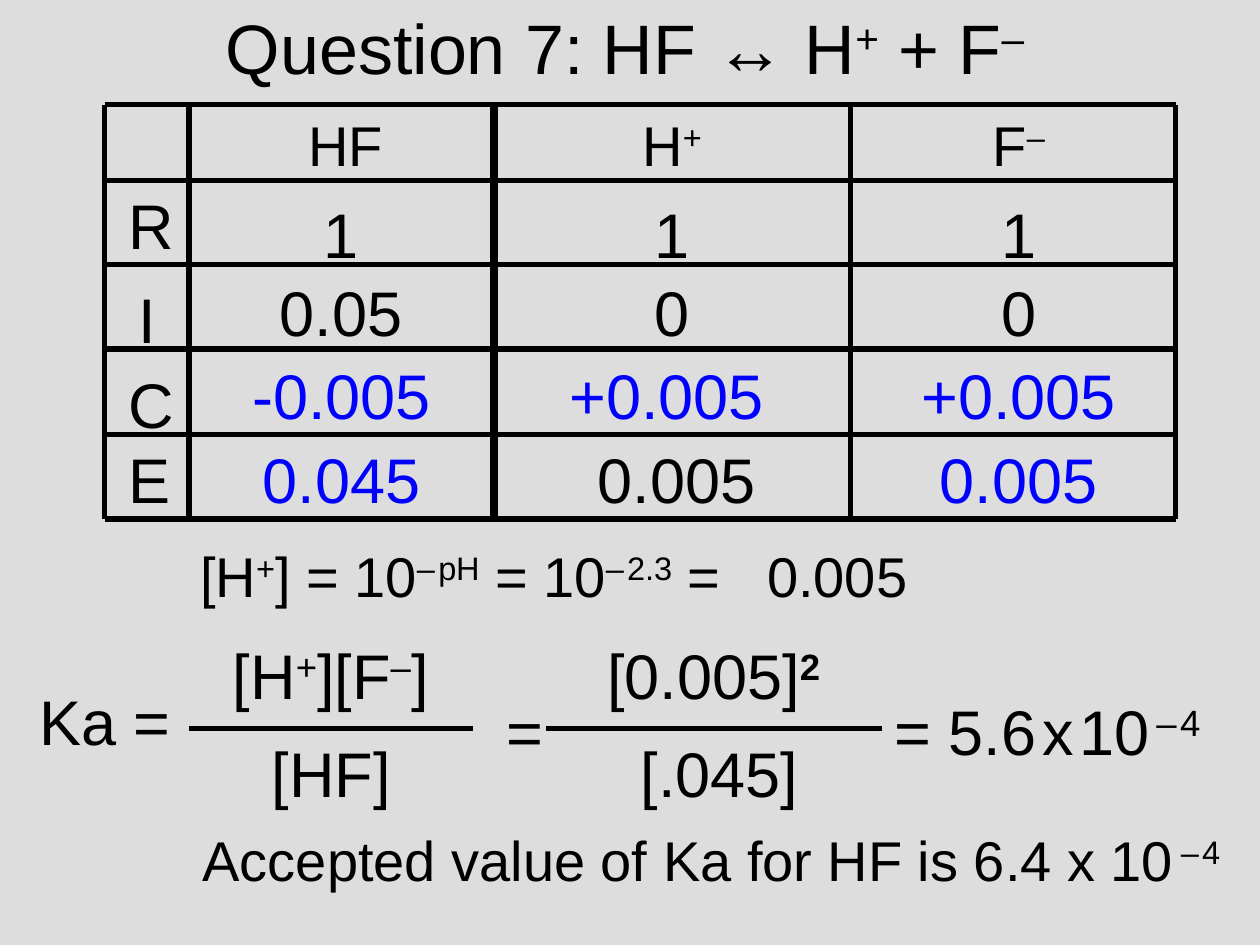
"""Build the Question 7 slide: an equilibrium grid for HF and its Ka calculation."""
from lxml import etree
from pptx import Presentation
from pptx.dml.color import RGBColor
from pptx.enum.shapes import MSO_CONNECTOR
from pptx.enum.text import MSO_ANCHOR, MSO_AUTO_SIZE, PP_ALIGN
from pptx.oxml.ns import qn
from pptx.util import Inches, Pt

STRAIGHT = MSO_CONNECTOR.STRAIGHT
MIDDLE = MSO_ANCHOR.MIDDLE
FIT_SHAPE = MSO_AUTO_SIZE.SHAPE_TO_FIT_TEXT
CENTER, LEFT = PP_ALIGN.CENTER, PP_ALIGN.LEFT
FONT, BLACK, BLUE, BACKGROUND = "Arial", "000000", "0000FF", "DDDDDD"
BODY, SMALL, HAIR = 36, 32, 12

PLUS, MINUS = ("+", "sup"), ("–", "sup")
GAP, SUP_GAP = (" ", "", HAIR), (" ", "sup", HAIR)
TITLE = ["Question 7: HF ↔ H", PLUS, " + F", MINUS]

COLUMN_LINES = [(0.83, 3), (1.5, 3), (3.92, 4.5), (6.75, 3), (9.33, 3)]
ROW_LINES = [0.83, 1.43, 2.1, 2.77, 3.45, 4.12]

HEADER_SPANS = [(2.08, 1.33), (4.67, 1.33), (7.42, 1.33)]
START_SPANS = [(1.58, 2.25), (4, 2.67), (7.42, 1.33)]
CHANGE_SPANS = [(1.75, 1.92), (4, 2.58), (6.92, 2.33)]
END_SPANS = [(1.75, 1.92), (4.08, 2.58), (6.92, 2.33)]

HEADERS = [["HF"], ["H", PLUS], ["F", MINUS]]
ROWS = [
    ("R", 1.43, 1.5, START_SPANS, ["1", "1", "1"], [BLACK] * 3),
    ("I", 2.18, 2.12, START_SPANS, ["0.05", "0", "0"], [BLACK] * 3),
    ("C", 2.85, 2.78, CHANGE_SPANS, ["-0.005", "+0.005", "+0.005"], [BLUE] * 3),
    ("E", 3.45, 3.45, END_SPANS, ["0.045", "0.005", "0.005"], [BLUE, BLACK, BLUE]),
]

FORMULA_PARTS = [
    (1.67, 5.78, 1.92, ["[HF]"], CENTER),
    (0.17, 5.37, 1.33, ["Ka ="], CENTER),
    (1.5, 5, 2.25, ["[H", PLUS, "][F", MINUS, "]"], CENTER),
    (3.92, 5.45, 0.5, ["="], CENTER),
    (4.25, 5.78, 2.92, ["[.045]"], CENTER),
    (4.33, 5, 2.67, ["[0.005]", ("2", "sup bold")], CENTER),
    (7, 5.45, 3, ["= 5.6", GAP, "x", GAP, "10", (" ", "", 14),
                  MINUS, SUP_GAP, ("4", "sup")], LEFT),
]
FRACTION_BAR_TOP = 5.78
FRACTION_BARS = [(1.5, 3.75), (4.33, 7)]

ION_LINE = ["[H", PLUS, "] = 10", MINUS, SUP_GAP, ("pH", "sup"), " = 10",
            MINUS, SUP_GAP, ("2.3", "sup"), " =\t0.005"]
ION_RESULT_TAB = 4.5
ACCEPTED_LINE = ["Accepted value of Ka for HF is 6.4 x 10", GAP, MINUS,
                 SUP_GAP, ("4", "sup")]


def color(value):
    return RGBColor.from_string(value)


def add_line(slide, start, end, width):
    line = slide.shapes.add_connector(STRAIGHT, *map(Inches, start + end))
    line.line.color.rgb = color(BLACK)
    line.line.width = Pt(width)
    etree.SubElement(line._element.spPr, qn("a:effectLst"))


def add_text(slide, box, runs, size=BODY, fill=BLACK, align=CENTER, tab=None):
    shape = slide.shapes.add_textbox(*map(Inches, box))
    frame = shape.text_frame
    frame.word_wrap = True
    frame.auto_size = FIT_SHAPE
    paragraph = frame.paragraphs[0]
    paragraph.alignment = align
    if tab:
        tabs = etree.SubElement(paragraph._p.get_or_add_pPr(), qn("a:tabLst"))
        etree.SubElement(tabs, qn("a:tab"), pos=str(Inches(tab)), algn="l")
    for item in runs:
        text, style, run_size = ((item,) if isinstance(item, str) else item) + ("", size)[
            (0 if isinstance(item, str) else len(item) - 1):]
        run = paragraph.add_run()
        run.text = text
        run.font.name = FONT
        run.font.size = Pt(run_size)
        run.font.color.rgb = color(fill)
        if "bold" in style:
            run.font.bold = True
        if "sup" in style:
            run._r.get_or_add_rPr().set("baseline", "30000")
    return frame


def add_grid(slide):
    left, right = COLUMN_LINES[0][0], COLUMN_LINES[-1][0]
    top, bottom = ROW_LINES[0], ROW_LINES[-1]
    for x, width in COLUMN_LINES:
        add_line(slide, (x, top), (x, bottom), width)
    for y in ROW_LINES:
        add_line(slide, (left, y), (right, y), 3)
    for (x, width), runs in zip(HEADER_SPANS, HEADERS):
        add_text(slide, (x, top, width, 0.64), runs, SMALL)
    for label, label_top, value_top, spans, values, fills in ROWS:
        add_text(slide, (0.92, label_top, 0.5, 0.7), [label])
        for (x, width), value, fill in zip(spans, values, fills):
            add_text(slide, (x, value_top, width, 0.7), [value], fill=fill)


def main():
    presentation = Presentation()
    presentation.slide_width, presentation.slide_height = Inches(10), Inches(7.5)
    slide = presentation.slides.add_slide(presentation.slide_layouts[6])
    slide.background.fill.solid()
    slide.background.fill.fore_color.rgb = color(BACKGROUND)

    title = add_text(slide, (0.25, 0.08, 9.42, 0.58), TITLE, 40)
    title.auto_size = MSO_AUTO_SIZE.NONE
    title.vertical_anchor = MIDDLE
    add_grid(slide)
    for x, y, width, runs, align in FORMULA_PARTS:
        add_text(slide, (x, y, width, 0.7), runs, align=align)
    for start, end in FRACTION_BARS:
        add_line(slide, (start, FRACTION_BAR_TOP), (end, FRACTION_BAR_TOP), 2.75)
    add_text(slide, (1.49, 4.25, 5.94, 0.64), ION_LINE, SMALL, align=LEFT,
             tab=ION_RESULT_TAB)
    add_text(slide, (1.51, 6.5, 8.4, 0.64), ACCEPTED_LINE, SMALL, align=LEFT)
    presentation.save("out.pptx")


if __name__ == "__main__":
    main()
